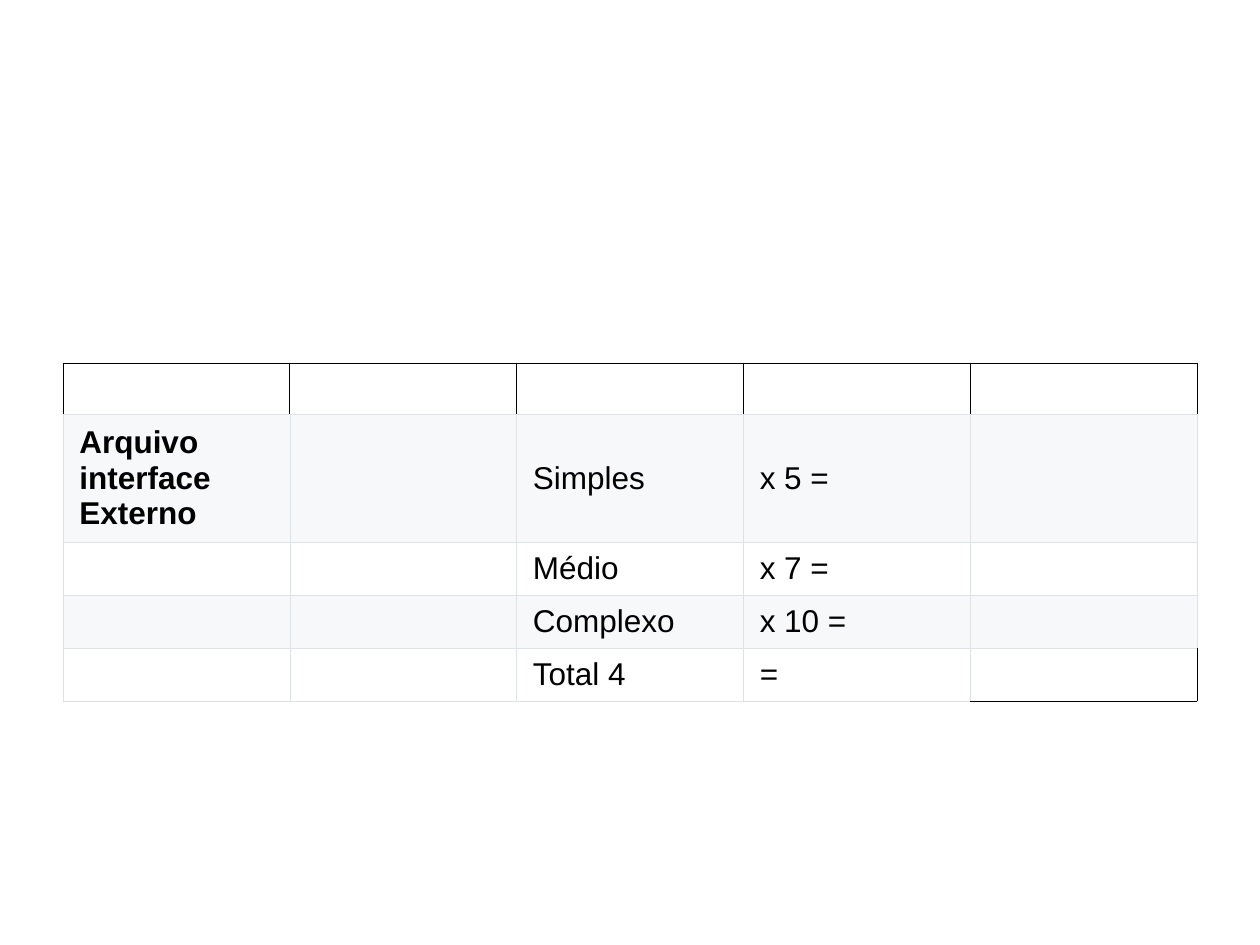
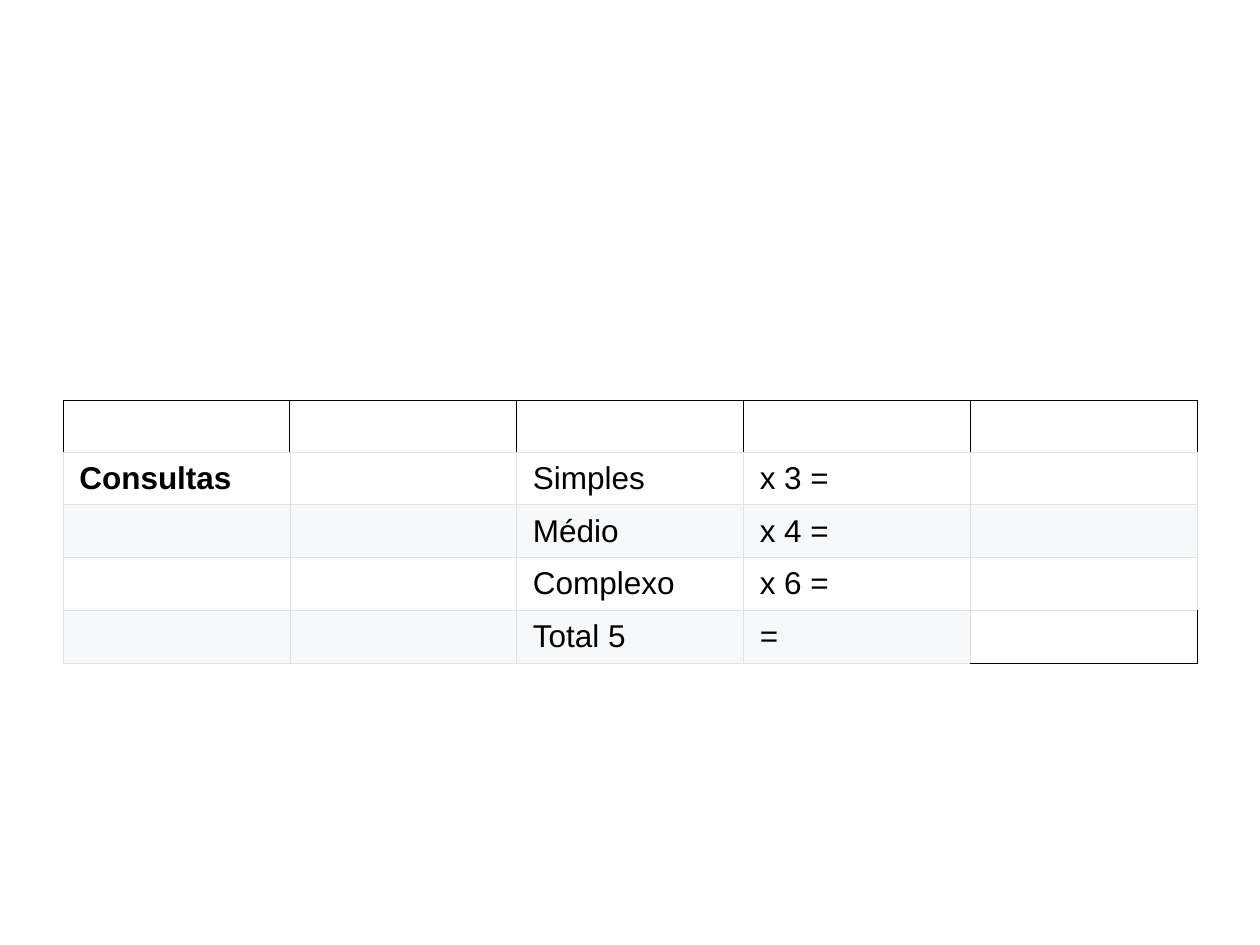
from lxml import etree
from pptx import Presentation
from pptx.dml.color import RGBColor
from pptx.enum import text
from pptx.oxml import ns
from pptx.util import Inches, Pt

BLACK, GREY, WHITE, BAND = "000000", "DFE2E5", "FFFFFF", "F6F8FA"
LINE_WIDTHS = {BLACK: 0.45, GREY: 0.34}
LEFT, COL_WIDTH, COLUMNS = 0.5, 1.8, 5
HEADER_HEIGHT, ROW_HEIGHT = 0.4, 0.42

TABLES = [
    {"top": 2.88, "first_height": 1.02, "fills": (BAND, WHITE), "rows": [
        ("Arquivo interface Externo", "", "Simples", "x 5 =", ""),
        ("", "", "Médio", "x 7 =", ""),
        ("", "", "Complexo", "x 10 =", ""),
        ("", "", "Total 4", "=", "")]},
    {"top": 3.18, "first_height": ROW_HEIGHT, "fills": (WHITE, BAND), "rows": [
        ("Consultas", "", "Simples", "x 3 =", ""),
        ("", "", "Médio", "x 4 =", ""),
        ("", "", "Complexo", "x 6 =", ""),
        ("", "", "Total 5", "=", "")]},
]


def rgb(color):
    return RGBColor.from_string(color)


def set_borders(cell, black_sides):
    """Draw the named sides (L, R, T, B) in black and the others in grey."""
    tc_pr = cell._tc.get_or_add_tcPr()
    for side in "LRTB":
        color = BLACK if side in black_sides else GREY
        ln = etree.SubElement(tc_pr, ns.qn(f"a:ln{side}"),
                              w=str(Pt(LINE_WIDTHS[color])))
        fill = etree.SubElement(ln, ns.qn("a:solidFill"))
        etree.SubElement(fill, ns.qn("a:srgbClr"), val=color)


def set_fill(cell, color):
    if color:
        cell.fill.solid()
        cell.fill.fore_color.rgb = rgb(color)
    else:
        cell.fill.background()


def set_text(cell, words, bold):
    cell.vertical_anchor = text.MSO_ANCHOR.MIDDLE
    cell.margin_left = cell.margin_right = Inches(0.13)
    cell.margin_top = cell.margin_bottom = Inches(0.05)
    cell.text = words
    font = cell.text_frame.paragraphs[0].font
    font.name, font.size, font.bold = "Arial", Pt(18), bold
    font.color.rgb = rgb(BLACK)


def add_score_table(slide, top, first_height, fills, rows):
    """Add an empty header row, banded rows and an open total cell."""
    heights = [HEADER_HEIGHT, first_height] + [ROW_HEIGHT] * (len(rows) - 1)
    frame = slide.shapes.add_table(
        len(heights), COLUMNS, Inches(LEFT), Inches(top),
        Inches(COL_WIDTH * COLUMNS), Inches(sum(heights)))
    table = frame.table
    table.first_row = table.horz_banding = False
    for column in table.columns:
        column.width = Inches(COL_WIDTH)
    for row, height in zip(table.rows, heights):
        row.height = Inches(height)

    for i, words_in_row in enumerate([("",) * COLUMNS] + rows):
        for j, words in enumerate(words_in_row):
            cell = table.cell(i, j)
            is_header = i == 0
            is_total = i == len(rows) and j == COLUMNS - 1
            set_borders(cell, "LRT" if is_header else "RB" if is_total else "")
            set_fill(cell, None if is_header or is_total else fills[(i - 1) % 2])
            if words:
                set_text(cell, words, bold=j == 0)


def main():
    prs = Presentation()
    prs.slide_width, prs.slide_height = Inches(10), Inches(7.5)
    for content in TABLES:
        add_score_table(prs.slides.add_slide(prs.slide_layouts[6]), **content)
    prs.save("out.pptx")


if __name__ == "__main__":
    main()
